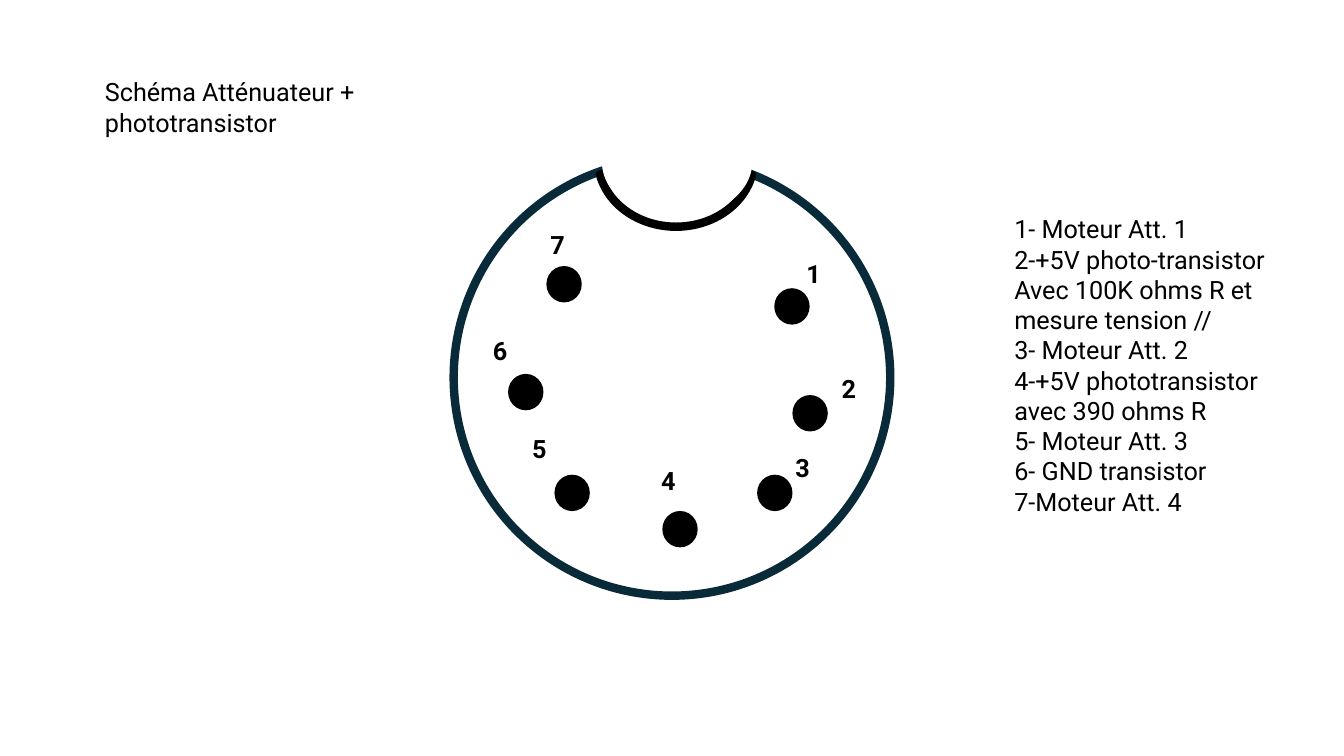
from lxml import etree
from pptx import Presentation
from pptx.dml.color import RGBColor
from pptx.enum.shapes import MSO_SHAPE
from pptx.enum.text import MSO_ANCHOR, MSO_AUTO_SIZE, PP_ALIGN
from pptx.oxml.ns import qn
from pptx.util import Inches, Pt

OVAL, PIE = MSO_SHAPE.OVAL, MSO_SHAPE.PIE
TOP, LEFT, NO_FIT = MSO_ANCHOR.TOP, PP_ALIGN.LEFT, MSO_AUTO_SIZE.NONE

COLORS = {"ink": "000000", "rim": "092A39", "paper": "FFFFFF"}

TITLE = "Schéma Atténuateur + phototransistor"
PINOUT = [
    "1- Moteur Att. 1",
    "2-+5V photo-transistor",
    "Avec 100K ohms R et mesure tension //",
    "3- Moteur Att. 2",
    "4-+5V phototransistor avec 390 ohms R",
    "5- Moteur Att. 3",
    "6- GND transistor",
    "7-Moteur Att. 4",
]
PINS = [
    ((7.69, 2.87), (7.9, 2.51)),
    ((7.87, 3.93), (8.25, 3.65)),
    ((7.52, 4.72), (7.79, 4.44)),
    ((6.58, 5.08), (6.46, 4.57)),
    ((5.51, 4.72), (5.18, 4.25)),
    ((5.05, 3.72), (4.79, 3.28)),
    ((5.43, 2.65), (5.36, 2.23)),
]


class ConnectorSlide:
    font_name = "Roboto"
    font_size = Pt(18)

    def __init__(self, presentation):
        self.slide = presentation.slides.add_slide(presentation.slide_layouts[1])

    def color(self, name):
        return RGBColor.from_string(COLORS[name])

    def shape(self, kind, box, fill=None, line=None, weight=0):
        outline = self.slide.shapes.add_shape(kind, *map(Inches, box))
        outline.shadow.inherit = False
        if fill:
            outline.fill.solid()
            outline.fill.fore_color.rgb = self.color(fill)
        else:
            outline.fill.background()
        if line:
            outline.line.color.rgb = self.color(line)
            outline.line.width = Pt(weight)
        else:
            outline.line.fill.background()
        return outline

    def set_text(self, holder, lines, bold=False):
        frame = holder.text_frame
        frame.text = "\n".join(lines)
        frame.word_wrap = True
        frame.auto_size = NO_FIT
        frame.vertical_anchor = TOP
        for paragraph in frame.paragraphs:
            paragraph.alignment = LEFT
            paragraph.space_before = Pt(0)
            paragraph.font.name = self.font_name
            paragraph.font.size = self.font_size
            paragraph.font.bold = bold
            paragraph.font.color.rgb = self.color("ink")

    def place(self, holder, box):
        holder.left, holder.top, holder.width, holder.height = map(Inches, box)

    def title(self, text, box):
        self.place(self.slide.shapes.title, box)
        self.set_text(self.slide.shapes.title, [text])

    def plain_list(self, lines, box):
        body = self.slide.placeholders[1]
        self.place(body, box)
        self.set_text(body, lines)
        for paragraph in body.text_frame.paragraphs:
            properties = paragraph._p.get_or_add_pPr()
            properties.set("marL", "0")
            properties.set("indent", "0")
            properties.find(qn("a:defRPr")).addprevious(etree.Element(qn("a:buNone")))

    def label(self, text, position):
        holder = self.slide.shapes.add_textbox(*map(Inches, (*position, 0.25, 0.4)))
        self.set_text(holder, [text], bold=True)

    def pin(self, number, contact, caption):
        self.shape(OVAL, (*contact, 0.33, 0.34), "ink", "ink", 1.5)
        self.label(str(number), caption)


def main():
    presentation = Presentation()
    presentation.slide_width = Inches(13.33)
    presentation.slide_height = Inches(7.5)

    connector = ConnectorSlide(presentation)
    connector.title(TITLE, (0.94, 0.71, 4.33, 0.4))
    connector.plain_list(PINOUT, (9.96, 2.07, 2.79, 3.13))

    connector.shape(OVAL, (4.5, 1.58, 4.33, 4.33), line="rim", weight=6)
    notch = connector.shape(PIE, (5.93, 0.91, 1.55, 1.34), "paper", "ink", 6)
    notch.adjustments[0] = 7.04
    notch.adjustments[1] = 101.24
    connector.shape(OVAL, (5.97, 1.06, 1.49, 1.1), "paper")

    for number, (contact, caption) in enumerate(PINS, start=1):
        connector.pin(number, contact, caption)

    presentation.save("out.pptx")


if __name__ == "__main__":
    main()
